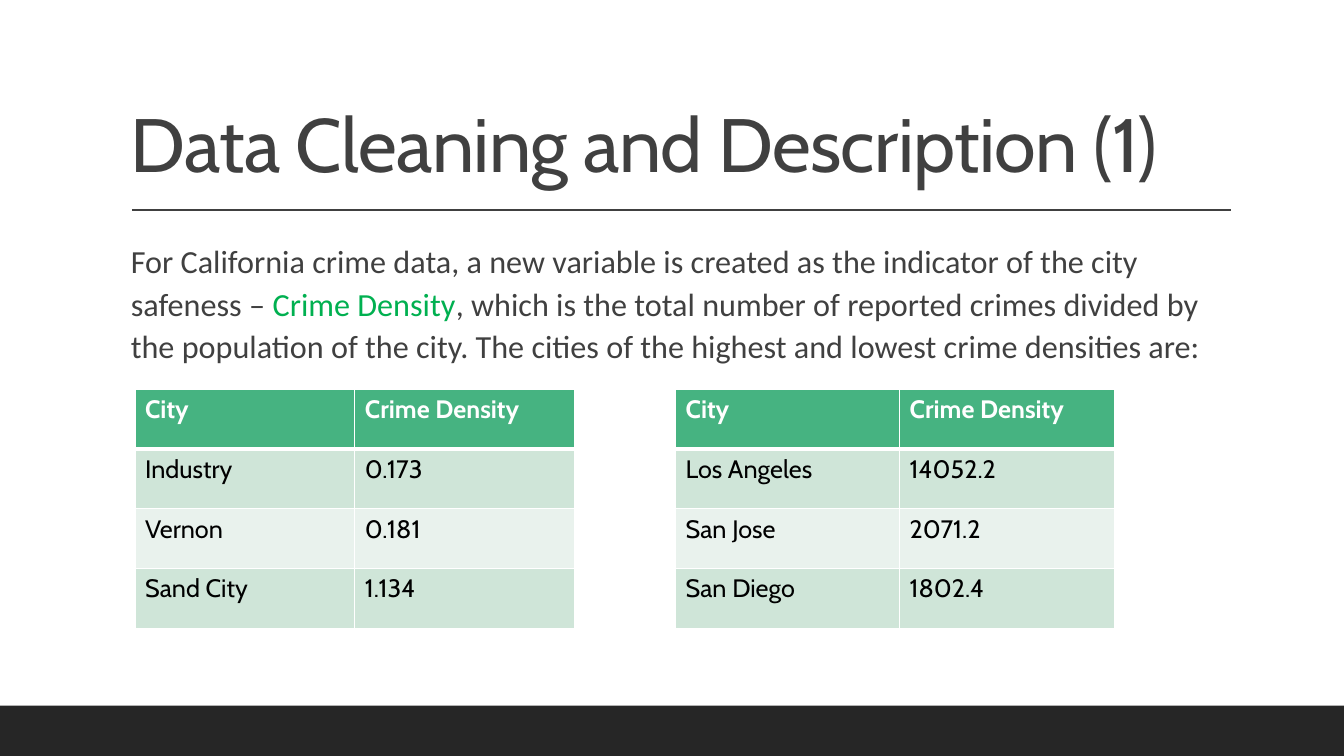
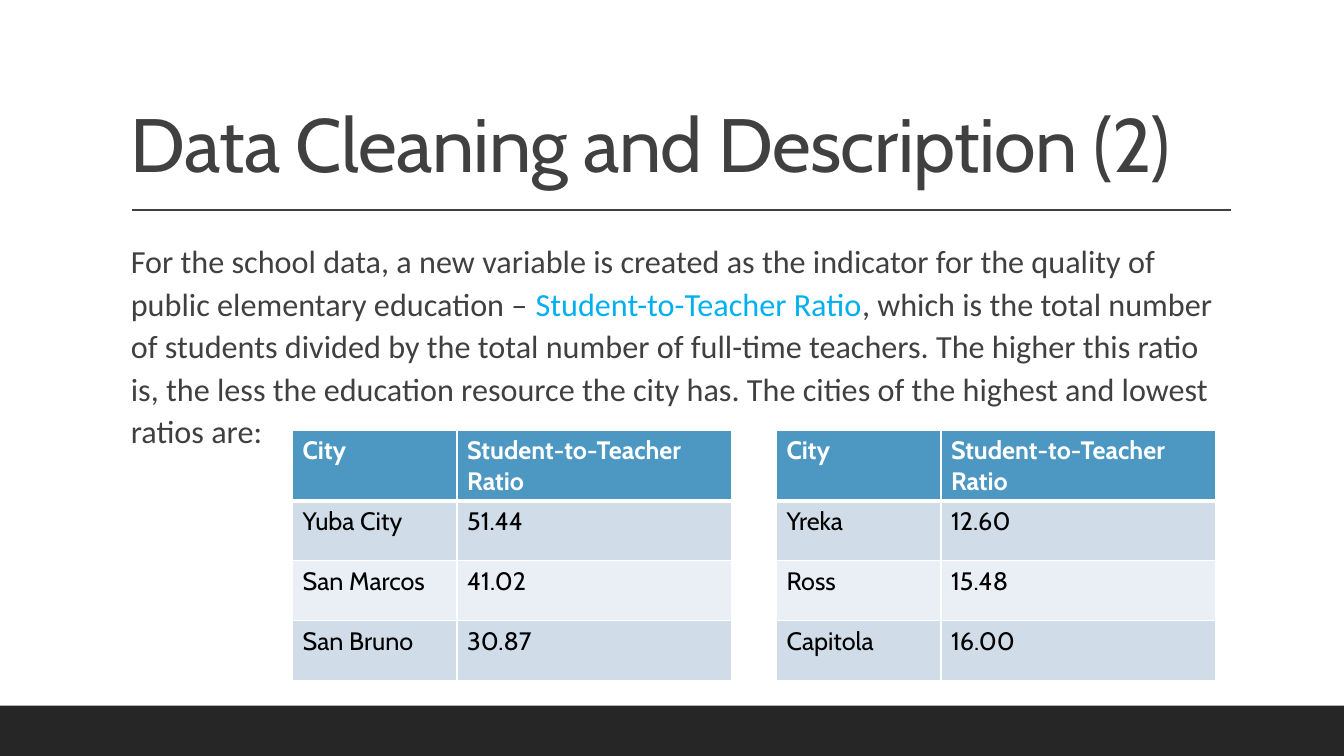
from lxml import etree
from pptx import Presentation
from pptx.dml.color import RGBColor
from pptx.enum.shapes import MSO_CONNECTOR, MSO_SHAPE
from pptx.enum.text import MSO_ANCHOR
from pptx.oxml.ns import qn
from pptx.util import Pt

COLORS = {
    "white": "FFFFFF", "black": "000000", "text": "404040", "band": "262626",
    "crime": "00B050", "ratio": "00B0F0",
    "green": "46B381", "green_mid": "CFE5D8", "green_pale": "E9F2ED",
    "blue": "4D98C3", "blue_mid": "D0DDE9", "blue_pale": "E9EFF5",
}
TITLE_FONT, BODY_FONT = "Cabin", "Calibri"
PAGE_WIDTH, PAGE_HEIGHT, BAND_HEIGHT = 960, 540, 36
TEXT_LEFT, TEXT_WIDTH = 86.4, 792
ROW_HEIGHT = 42.7


def color(name):
    return RGBColor.from_string(COLORS[name])


def add_span(para, text, font=TITLE_FONT, size=18, fill="text", bold=False, spacing=None):
    span = para.add_run()
    span.text = text
    span.font.name, span.font.size, span.font.bold = font, Pt(size), bold
    span.font.color.rgb = color(fill)
    if spacing is not None:
        span.font._element.set("spc", str(round(spacing * 100)))


def set_border(cell, side, width):
    line = etree.SubElement(cell._tc.get_or_add_tcPr(), qn(f"a:ln{side}"), w=str(Pt(width)))
    solid = etree.SubElement(line, qn("a:solidFill"))
    etree.SubElement(solid, qn("a:srgbClr"), val=COLORS["white"])


class SlideBuilder:
    def __init__(self):
        self.deck = Presentation()
        self.deck.slide_width, self.deck.slide_height = Pt(PAGE_WIDTH), Pt(PAGE_HEIGHT)
        self.page = None

    def start_page(self, title):
        self.page = self.deck.slides.add_slide(self.deck.slide_layouts[6])
        self.band()
        self.rule()
        self.title(title)

    def band(self):
        band = self.page.shapes.add_shape(
            MSO_SHAPE.RECTANGLE, 0, Pt(PAGE_HEIGHT - BAND_HEIGHT), Pt(PAGE_WIDTH), Pt(BAND_HEIGHT))
        band.shadow.inherit = False
        band.fill.solid()
        band.fill.fore_color.rgb = color("band")
        band.line.fill.background()

    def rule(self):
        rule = self.page.shapes.add_connector(
            MSO_CONNECTOR.STRAIGHT, Pt(94.3), Pt(150), Pt(879), Pt(150))
        rule.line.color.rgb = color("text")
        rule.line.width = Pt(1)
        etree.SubElement(rule._element.spPr, qn("a:effectLst"))

    def text_box(self, top, height, anchor, line_spacing):
        box = self.page.shapes.add_textbox(Pt(TEXT_LEFT), Pt(top), Pt(TEXT_WIDTH), Pt(height))
        frame = box.text_frame
        frame.word_wrap = True
        frame.vertical_anchor = anchor
        para = frame.paragraphs[0]
        para.line_spacing = line_spacing
        return frame, para

    def title(self, text):
        _, para = self.text_box(22.6, 114.2, MSO_ANCHOR.BOTTOM, 0.8)
        add_span(para, text, size=54, spacing=-0.5)

    def body(self, before, term, after, accent):
        frame, para = self.text_box(166.3, 296, MSO_ANCHOR.TOP, 1.1)
        frame.margin_right = 0
        para.space_before, para.space_after = Pt(12), Pt(2)
        for text, fill in ((before, "text"), (term, accent), (after, "text")):
            add_span(para, text, font=BODY_FONT, size=23, fill=fill)

    def table(self, left, top, widths, rows, theme):
        table = self.page.shapes.add_table(
            len(rows), len(widths), Pt(left), Pt(top),
            Pt(sum(widths)), Pt(ROW_HEIGHT * len(rows))).table
        table.first_row = table.horz_banding = False
        for column, width in zip(table.columns, widths):
            column.width = Pt(width)
        for row_index, values in enumerate(rows):
            table.rows[row_index].height = Pt(ROW_HEIGHT)
            header = row_index == 0
            shade = theme if header else theme + ("_mid" if row_index % 2 else "_pale")
            for column_index, text in enumerate(values):
                cell = table.cell(row_index, column_index)
                # A thick line parts the header from the data
                for side, thick in (("L", False), ("R", False),
                                    ("T", row_index == 1), ("B", header)):
                    set_border(cell, side, 3 if thick else 1)
                cell.fill.solid()
                cell.fill.fore_color.rgb = color(shade)
                add_span(cell.text_frame.paragraphs[0], text,
                         fill="white" if header else "black", bold=header)


def main():
    builder = SlideBuilder()

    # Crime density
    builder.start_page("Data Cleaning and Description (1)")
    builder.body(
        "For California crime data, a new variable is created as the indicator of the "
        "city safeness – ", "Crime Density",
        ", which is the total number of reported crimes divided by the population of the "
        "city. The cities of the highest and lowest crime densities are:", "crime")
    header = ("City", "Crime Density")
    builder.table(96.5, 278, (157, 157), (
        header, ("Industry", "0.173"), ("Vernon", "0.181"), ("Sand City", "1.134")), "green")
    builder.table(482.6, 278, (160, 153.5), (
        header, ("Los Angeles", "14052.2"), ("San Jose", "2071.2"),
        ("San Diego", "1802.4")), "green")

    # Student-to-teacher ratio
    builder.start_page("Data Cleaning and Description (2)")
    builder.body(
        "For the school data, a new variable is created as the indicator for the quality of "
        "public elementary education – ", "Student-to-Teacher Ratio",
        ", which is the total number of students divided by the total number of full-time "
        "teachers. The higher this ratio is, the less the education resource the city has. "
        "The cities of the highest and lowest ratios are:", "ratio")
    header = ("City", "Student-to-Teacher Ratio")
    widths = (117.5, 196)
    builder.table(209, 307.5, widths, (
        header, ("Yuba City", "51.44"), ("San Marcos", "41.02"), ("San Bruno", "30.87")), "blue")
    builder.table(554.6, 307.5, widths, (
        header, ("Yreka", "12.60"), ("Ross", "15.48"), ("Capitola", "16.00")), "blue")

    builder.deck.save("out.pptx")


if __name__ == "__main__":
    main()
